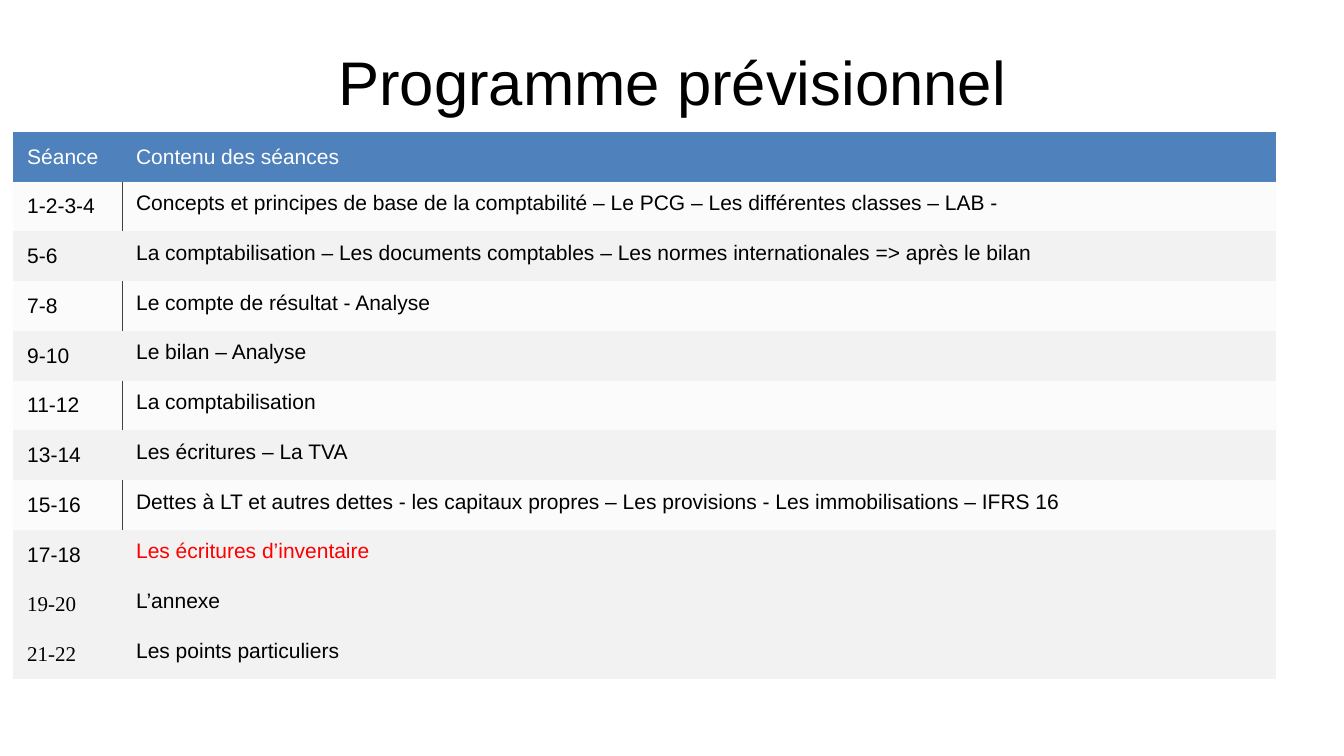
import pptx
import pptx.dml.color
import pptx.enum.text
import pptx.oxml.ns
import pptx.util
from lxml import etree

Inches = pptx.util.Inches
Pt = pptx.util.Pt
RGBColor = pptx.dml.color.RGBColor
Align = pptx.enum.text.PP_ALIGN
Anchor = pptx.enum.text.MSO_ANCHOR
qn = pptx.oxml.ns.qn

BLACK = RGBColor(0x00, 0x00, 0x00)
WHITE = RGBColor(0xFF, 0xFF, 0xFF)
RED = RGBColor(0xFF, 0x00, 0x00)
BLUE = RGBColor(0x4F, 0x81, 0xBD)
GREY = RGBColor(0xF2, 0xF2, 0xF2)
DIVIDER = RGBColor(0x40, 0x40, 0x40)

SANS = "Arial"
SERIF = "Times New Roman"
PLAIN_TABLE_STYLE = "{2D5ABB26-0587-4C30-8999-92F81FD0307C}"

HEADER = ("Séance", "Contenu des séances")
SESSIONS = [
    ("1-2-3-4", "Concepts et principes de base de la comptabilité – Le PCG – Les différentes classes – LAB -"),
    ("5-6", "La comptabilisation – Les documents comptables – Les normes internationales => après le bilan"),
    ("7-8", "Le compte de résultat - Analyse"),
    ("9-10", "Le bilan – Analyse"),
    ("11-12", "La comptabilisation"),
    ("13-14", "Les écritures – La TVA"),
    ("15-16", "Dettes à LT et autres dettes - les capitaux propres – Les provisions - Les immobilisations – IFRS 16"),
    ("17-18", "Les écritures d’inventaire"),
    ("19-20", "L’annexe"),
    ("21-22", "Les points particuliers"),
]
LIGHT_SESSIONS = {"1-2-3-4", "7-8", "11-12", "15-16"}
RED_SESSIONS = {"17-18"}
SERIF_SESSIONS = {"19-20", "21-22"}


def add_run(paragraph, text, size, color, font=SANS):
    run = paragraph.add_run()
    run.text = text
    run.font.size = Pt(size)
    run.font.name = font
    run.font.color.rgb = color


def add_title(slide, text):
    box = slide.shapes.add_textbox(Inches(0.67), Inches(0.3), Inches(12), Inches(1))
    frame = box.text_frame
    frame.word_wrap = True
    frame.vertical_anchor = Anchor.MIDDLE
    paragraph = frame.paragraphs[0]
    paragraph.alignment = Align.CENTER
    add_run(paragraph, text, 44, BLACK)


def write_cell(cell, text, fill, color=BLACK, font=SANS, anchor=Anchor.MIDDLE, alignment=Align.LEFT):
    cell.margin_left, cell.margin_right = Inches(0.14), Inches(0.08)
    cell.margin_top = cell.margin_bottom = Inches(0.1)
    cell.vertical_anchor = anchor
    cell.fill.solid()
    cell.fill.fore_color.rgb = fill
    paragraph = cell.text_frame.paragraphs[0]
    paragraph.alignment = alignment
    add_run(paragraph, text, 15, color, font)


def lighten(cell, percent):
    color = cell._tc.tcPr.find(".//" + qn("a:srgbClr"))
    etree.SubElement(color, qn("a:alpha"), val=str(percent * 1000))


def add_border(cell, side):
    line = etree.Element(qn("a:ln" + side), w=str(Pt(0.5)))
    fill = etree.SubElement(line, qn("a:solidFill"))
    etree.SubElement(fill, qn("a:srgbClr"), val=str(DIVIDER))
    cell._tc.tcPr.insert(0, line)


def add_programme(slide):
    row_count = len(SESSIONS) + 1
    frame = slide.shapes.add_table(row_count, 2, Inches(0.13), Inches(1.31), Inches(12.53), Inches(5.43))
    table = frame.table
    table.horz_banding = False
    table._tbl.tblPr.find(qn("a:tableStyleId")).text = PLAIN_TABLE_STYLE
    table.columns[0].width = Inches(1.08)
    table.columns[1].width = Inches(11.45)

    # Header row
    for column, heading in enumerate(HEADER):
        write_cell(table.cell(0, column), heading, BLUE, WHITE)

    # One row per group of sessions
    for row, (session, content) in enumerate(SESSIONS, start=1):
        number_cell, content_cell = table.cell(row, 0), table.cell(row, 1)
        write_cell(number_cell, session, GREY, font=SERIF if session in SERIF_SESSIONS else SANS)
        write_cell(content_cell, content, GREY, RED if session in RED_SESSIONS else BLACK,
                   anchor=Anchor.TOP, alignment=Align.JUSTIFY)
        if session in LIGHT_SESSIONS:
            for cell, side in ((number_cell, "R"), (content_cell, "L")):
                lighten(cell, 30)
                add_border(cell, side)


def main():
    presentation = pptx.Presentation()
    presentation.slide_width = Inches(13.33)
    presentation.slide_height = Inches(7.5)
    slide = presentation.slides.add_slide(presentation.slide_layouts[6])
    add_title(slide, "Programme prévisionnel")
    add_programme(slide)
    presentation.save("out.pptx")


if __name__ == "__main__":
    main()
